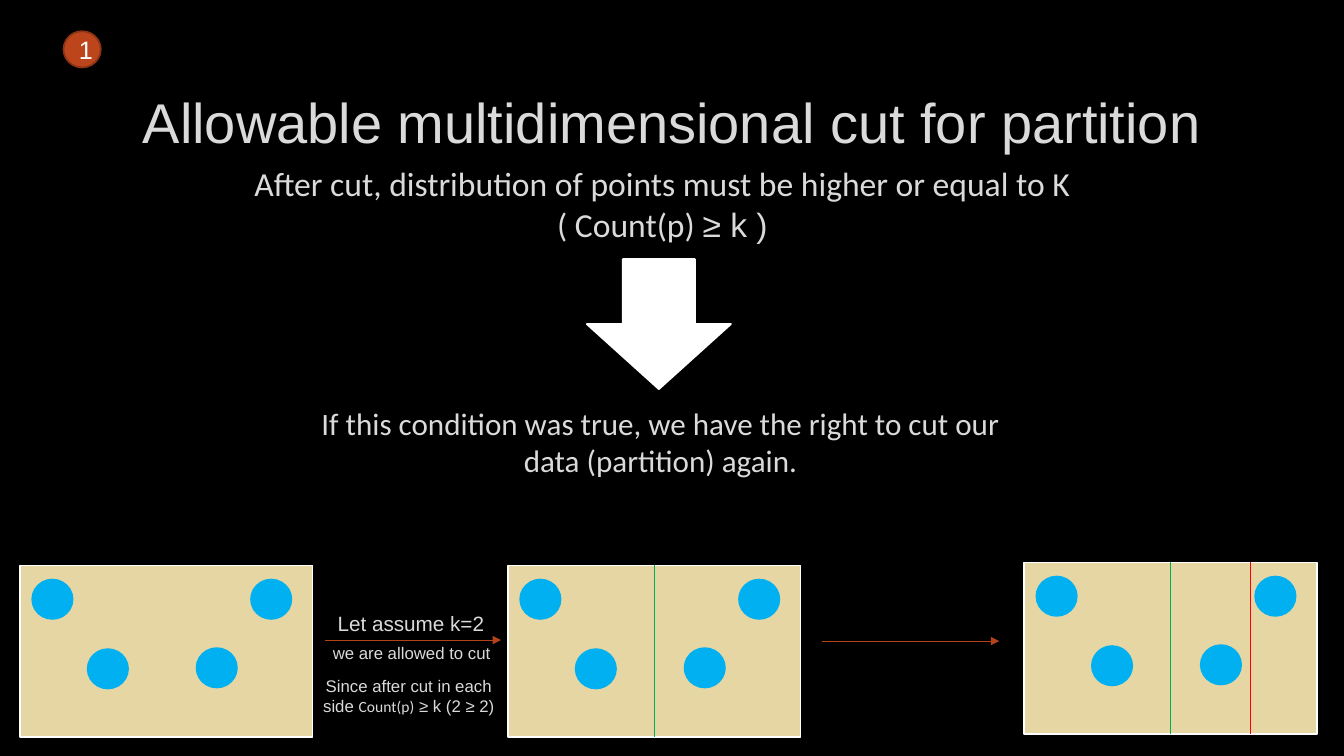
"""Build the slide on allowable multidimensional cuts for a partition."""
from lxml import etree
from pptx import Presentation
from pptx.dml.color import RGBColor
from pptx.enum.shapes import MSO_CONNECTOR, MSO_SHAPE
from pptx.enum.text import MSO_ANCHOR, PP_ALIGN
from pptx.oxml.ns import qn
from pptx.util import Inches, Pt

COLORS = {name: RGBColor.from_string(value) for name, value in {
    "background": "000000", "text": "DADADA", "white": "FFFFFF",
    "sand": "E5D6A4", "dot": "00B0F0", "first cut": "00B050",
    "second cut": "FF0000", "arrow": "B4421A",
    "badge": "BC451B", "badge edge": "8B3314",
}.items()}


def add_figure(kind, place, fill, edge):
    figure = page.shapes.add_shape(kind, *map(Inches, place))
    figure.shadow.inherit = False
    figure.fill.solid()
    figure.fill.fore_color.rgb = COLORS[fill]
    figure.line.color.rgb = COLORS[edge]
    figure.line.width = Pt(1.25)
    return figure


def add_line(start, end, color):
    line = page.shapes.add_connector(MSO_CONNECTOR.STRAIGHT, *map(Inches, start + end))
    line.line.color.rgb = COLORS[color]
    line.line.width = Pt(0.75)
    etree.SubElement(line._element.spPr, qn("a:effectLst"))
    return line


deck = Presentation()
deck.slide_width, deck.slide_height = Inches(13.33), Inches(7.5)
page = deck.slides.add_slide(deck.slide_layouts[5])
page.background.fill.solid()
page.background.fill.fore_color.rgb = COLORS["background"]

add_figure(MSO_SHAPE.DOWN_ARROW, (5.82, 2.57, 1.43, 1.29), "white", "white")

dot_offsets = [(0.12, 0.14), (0.67, 0.83), (2.29, 0.14), (1.75, 0.82)]
for left, top, is_cut in [(0.2, 5.61, False), (5.04, 5.61, True), (10.16, 5.58, True)]:
    partition = add_figure(MSO_SHAPE.RECTANGLE, (left, top, 2.9, 1.7), "sand", "white")
    for across, down in dot_offsets:
        add_figure(MSO_SHAPE.OVAL, (left + across, top + down, 0.4, 0.39), "dot", "dot")
    if is_cut:
        middle = left + 1.45
        cut = add_line((middle, top), (middle, top + 1.7), "first cut")
        cut.begin_connect(partition, 0)
        cut.end_connect(partition, 2)
add_line((12.4, 5.58), (12.4, 7.28), "second cut")

for start, end in [((3.22, 6.35), (4.97, 6.35)), ((8.15, 6.36), (9.91, 6.36))]:
    arrow = add_line(start, end, "arrow")
    etree.SubElement(arrow.line._get_or_add_ln(), qn("a:tailEnd"), type="triangle")

title = page.shapes.title
badge = add_figure(MSO_SHAPE.OVAL, (0.63, 0.31, 0.37, 0.36), "badge", "badge edge")
condition, conclusion, assumption, reason = [
    page.shapes.add_textbox(0, 0, 0, 0) for _ in range(4)]

texts = [
    (title, (1, 0.67, 11.32, 1.06), MSO_ANCHOR.MIDDLE, "text",
     [[("Allowable multidimensional cut for partition", 40, "Arial")]]),
    (condition, (2.35, 1.57, 8.4, 0.94), MSO_ANCHOR.TOP, "text",
     [[("After cut, distribution of points must be higher or equal to K ( Count(p) ",
        24, "Calibri"), ("≥ k )", 24, "Arial")]]),
    (conclusion, (2.92, 3.96, 7.22, 0.73), MSO_ANCHOR.TOP, "text",
     [[("If this condition was true, we have the right to cut our data (partition) again.",
        22.2, "Calibri")]]),
    (assumption, (3.02, 6.03, 2.07, 0.31), MSO_ANCHOR.MIDDLE, "text",
     [[("Let assume k=2", 14.8, "Arial")]]),
    (reason, (3, 6.29, 2.07, 0.86), MSO_ANCHOR.MIDDLE, "text",
     [[(" ", 14.8, "Arial"), ("we are allowed to cut", 12, "Arial")],
      [("Since after cut in each side ", 12, "Arial"), ("Count(p)", 11.1, "Calibri"),
       (" ≥ k (2 ≥ 2)", 12, "Arial")]]),
    (badge, (0.63, 0.31, 0.37, 0.36), MSO_ANCHOR.MIDDLE, "white",
     [[("1", 18, "Arial")]]),
]
for box, place, anchor, color, paragraphs in texts:
    box.left, box.top, box.width, box.height = map(Inches, place)
    frame = box.text_frame
    frame.word_wrap = True
    frame.vertical_anchor = anchor
    for number, spans in enumerate(paragraphs):
        para = frame.add_paragraph() if number else frame.paragraphs[0]
        spacing = {"alignment": PP_ALIGN.CENTER}
        if box not in (title, badge):
            spacing.update(space_before=Pt(2.4), space_after=Pt(6))
            para._p.get_or_add_pPr().set("marL", str(Inches(0.04)))
        for name, value in spacing.items():
            setattr(para, name, value)
        for wording, size, font in spans:
            span = para.add_run()
            span.text = wording
            for name, value in {"size": Pt(size), "name": font}.items():
                setattr(span.font, name, value)
            span.font.color.rgb = COLORS[color]

deck.save("out.pptx")
